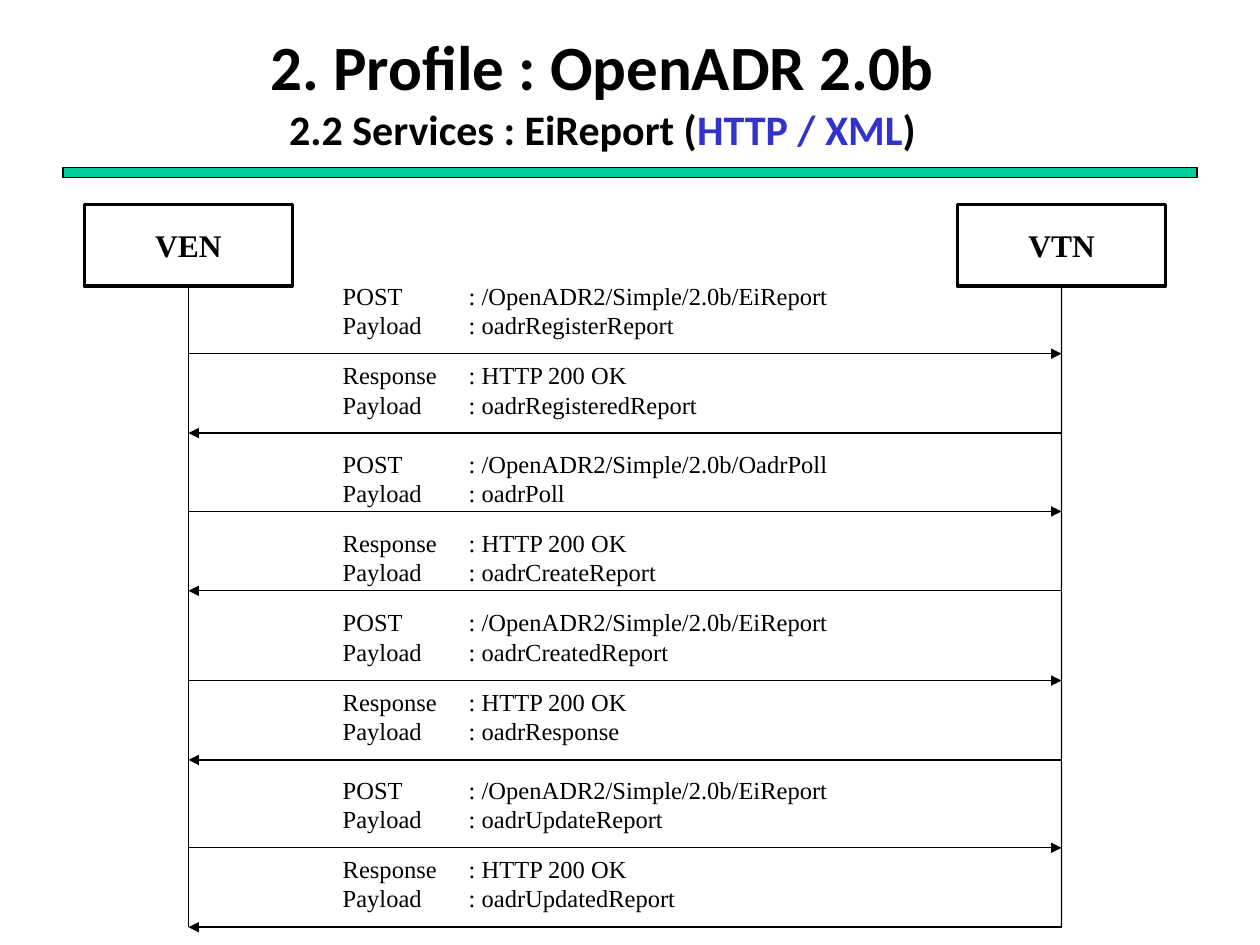
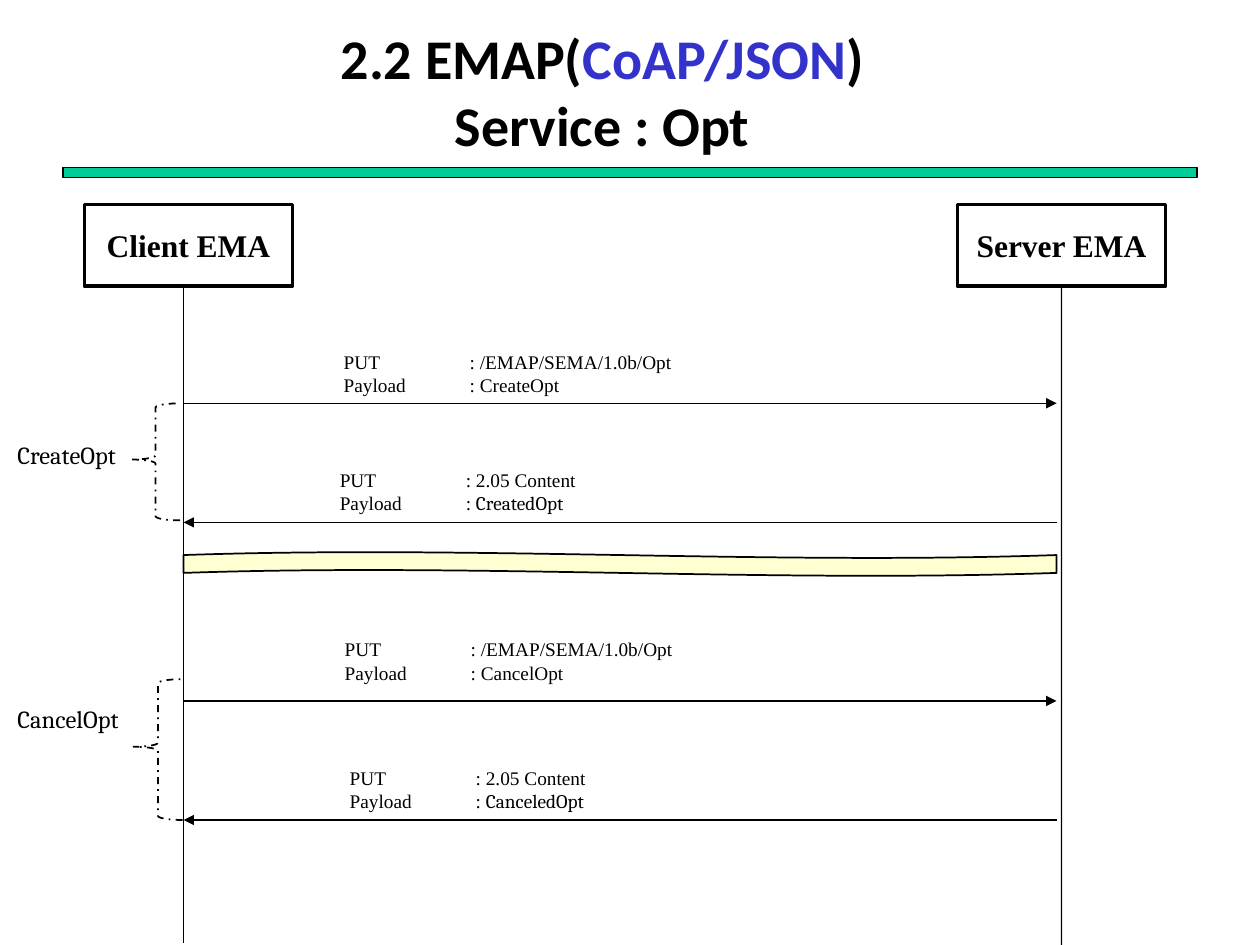
from lxml.etree import SubElement
from pptx import Presentation
from pptx.dml.color import RGBColor
from pptx.enum.dml import MSO_LINE_DASH_STYLE as Dash
from pptx.enum.shapes import MSO_CONNECTOR, MSO_SHAPE as Shape
from pptx.enum.text import MSO_ANCHOR, MSO_AUTO_SIZE, PP_ALIGN
from pptx.oxml.ns import qn
from pptx.util import Cm, Pt

BLACK, BLUE, GREEN, CREAM = "000000", "3333CC", "00CC99", "FFFFD1"
HEADING, BODY, ACCENT = "Calibri", "Times New Roman", "Cambria"
color = RGBColor.from_string


def add_line(slide, x1, y1, x2, y2, arrow=False):
    line = slide.shapes.add_connector(
        MSO_CONNECTOR.STRAIGHT, Cm(x1), Cm(y1), Cm(x2), Cm(y2))
    line.line.color.rgb = color(BLACK)
    line.line.width = Pt(0.75)
    properties = line.element.spPr
    if arrow:
        SubElement(properties.find(qn("a:ln")), qn("a:tailEnd"), type="triangle")
    SubElement(properties, qn("a:effectLst"))
    return line


def add_label(slide, left, top, width, rows, size, font=BODY):
    box = slide.shapes.add_textbox(
        Cm(left), Cm(top), Cm(width), Cm(len(rows) * size * 0.045 + 0.2))
    frame = box.text_frame
    frame.word_wrap = True
    frame.text = "\n".join(rows)
    for paragraph in frame.paragraphs:
        # One stop lines up the values after the field names
        tabs = SubElement(paragraph._p.get_or_add_pPr(), qn("a:tabLst"))
        SubElement(tabs, qn("a:tab"), pos=str(Cm(2.54)), algn="l")
        paragraph.font.size = Pt(size)
        paragraph.font.name = font
        paragraph.font.color.rgb = color(BLACK)
    return frame


prs = Presentation()
prs.slide_width, prs.slide_height = Cm(25.4), Cm(19.05)

# Shared frame: title, green band and the two participants
headings = [
    ([("2. Profile : OpenADR 2.0b\v", 36, BLACK),
      ("2.2 Services : EiReport (", 24, BLACK),
      ("HTTP / XML", 24, BLUE), (")", 24, BLACK)], ("VEN", "VTN")),
    ([("2.2 EMAP(", 32, BLACK), ("CoAP/JSON", 32, BLUE),
      (")\vService : Opt", 32, BLACK)], ("Client EMA", "Server EMA")),
]
diagrams = []
for heading, names in headings:
    slide = prs.slides.add_slide(prs.slide_layouts[5])
    title = slide.shapes.title
    title.left, title.top, title.width, title.height = (
        Cm(0.08), Cm(0.66), Cm(24.13), Cm(2.34))
    title.text_frame.auto_size = MSO_AUTO_SIZE.NONE
    title.text_frame.vertical_anchor = MSO_ANCHOR.MIDDLE
    paragraph = title.text_frame.paragraphs[0]
    paragraph.alignment = PP_ALIGN.CENTER
    paragraph.font.name = HEADING
    paragraph.font.bold = True
    paragraph.font.size = Pt(heading[0][1])
    for text, size, shade in heading:
        for index, piece in enumerate(text.split("\v")):
            if index:
                paragraph.add_line_break()
            if piece:
                run = paragraph.add_run()
                run.text = piece
                run.font.size = Pt(size)
                run.font.color.rgb = color(shade)

    band = slide.shapes.add_shape(
        Shape.RECTANGLE, Cm(1.27), Cm(3.38), Cm(22.86), Cm(0.2))
    band.shadow.inherit = False
    band.fill.solid()
    band.fill.fore_color.rgb = color(GREEN)
    band.line.color.rgb = color(BLACK)
    band.line.width = Pt(0.75)

    participants = []
    for left, name in zip((1.7, 19.3), names):
        participant = slide.shapes.add_shape(
            Shape.RECTANGLE, Cm(left), Cm(4.12), Cm(4.2), Cm(1.65))
        participant.shadow.inherit = False
        participant.fill.background()
        participant.line.color.rgb = color(BLACK)
        participant.line.width = Pt(2)
        frame = participant.text_frame
        frame.text = name
        frame.vertical_anchor = MSO_ANCHOR.MIDDLE
        paragraph = frame.paragraphs[0]
        paragraph.alignment = PP_ALIGN.CENTER
        paragraph.font.name = BODY
        paragraph.font.size = Pt(18)
        paragraph.font.bold = True
        paragraph.font.color.rgb = color(BLACK)
        participants.append(participant)
    diagrams.append((slide, participants))

# Slide 1: EiReport message sequence
slide, participants = diagrams[0]
ven_x, vtn_x, reply_gap = 3.8, 21.4, 1.6
for x, participant in zip((ven_x, vtn_x), participants):
    lifeline = add_line(slide, x, 5.77, x, 18.69)
    lifeline.begin_connect(participant, 2)

exchanges = [
    (5.54, 7.13, "EiReport", "oadrRegisterReport", "oadrRegisteredReport"),
    (8.92, 10.31, "OadrPoll", "oadrPoll", "oadrCreateReport"),
    (12.12, 13.72, "EiReport", "oadrCreatedReport", "oadrResponse"),
    (15.49, 17.09, "EiReport", "oadrUpdateReport", "oadrUpdatedReport"),
]
for label_y, arrow_y, service, request, reply in exchanges:
    add_label(slide, 6.66, label_y, 11,
              [f"POST\t: /OpenADR2/Simple/2.0b/{service}", f"Payload\t: {request}"], 14)
    add_line(slide, ven_x, arrow_y, vtn_x, arrow_y, arrow=True)
    add_label(slide, 6.66, label_y + reply_gap, 11,
              ["Response\t: HTTP 200 OK", f"Payload\t: {reply}"], 14)
    add_line(slide, vtn_x, arrow_y + reply_gap, ven_x, arrow_y + reply_gap, arrow=True)

# Slide 2: Opt message sequence
slide, (client, server) = diagrams[1]
client_x, server_x, arrow_end, reply_gap = 3.7, 21.4, 21.3, 2.4
add_line(slide, client_x, 5.72, client_x, 19)
server_lifeline = add_line(slide, server_x, 5.77, server_x, 19.05)
server_lifeline.begin_connect(server, 2)

# Wave marking the break between the two exchanges
pause = slide.shapes.add_shape(
    Shape.WAVE, Cm(client_x), Cm(11.13), Cm(arrow_end - client_x), Cm(0.48))
pause.shadow.inherit = False
pause.fill.solid()
pause.fill.fore_color.rgb = color(CREAM)
pause.line.color.rgb = color(BLACK)
pause.line.width = Pt(1)

# Operation, reply payload, arrow, request label, reply label, brace, caption
operations = [
    ("CreateOpt", "CreatedOpt", 8.13, (6.68, 6.93), (6.6, 9.32),
     (2.64, 8.13, 2.36), 8.74),
    ("CancelOpt", "CanceledOpt", 14.13, (6.7, 12.73), (6.8, 15.32),
     (2.69, 13.69, 2.84), 14.07),
]
for operation, reply, arrow_y, request_at, reply_at, brace_at, caption_y in operations:
    add_label(slide, *request_at, 8,
              ["PUT\t: /EMAP/SEMA/1.0b/Opt", f"Payload\t: {operation}"], 11)
    add_line(slide, client_x, arrow_y, arrow_end, arrow_y, arrow=True)

    reply_label = add_label(slide, *reply_at, 8, ["PUT\t: 2.05 Content", "Payload\t: "], 11)
    payload = reply_label.paragraphs[1].add_run()
    payload.text = reply
    payload.font.name = ACCENT
    add_line(slide, arrow_end, arrow_y + reply_gap, client_x, arrow_y + reply_gap, arrow=True)

    left, top, height = brace_at
    brace = slide.shapes.add_shape(
        Shape.RIGHT_BRACE, Cm(left), Cm(top), Cm(0.99), Cm(height))
    brace.rotation = 180
    brace.adjustments[0], brace.adjustments[1] = 0.083, 0.52
    brace.shadow.inherit = False
    brace.fill.background()
    brace.line.color.rgb = color(BLACK)
    brace.line.width = Pt(1)
    brace.line.dash_style = Dash.DASH_DOT
    add_label(slide, 0.1, caption_y, 2.8, [operation], 14, ACCENT)

prs.save("out.pptx")
